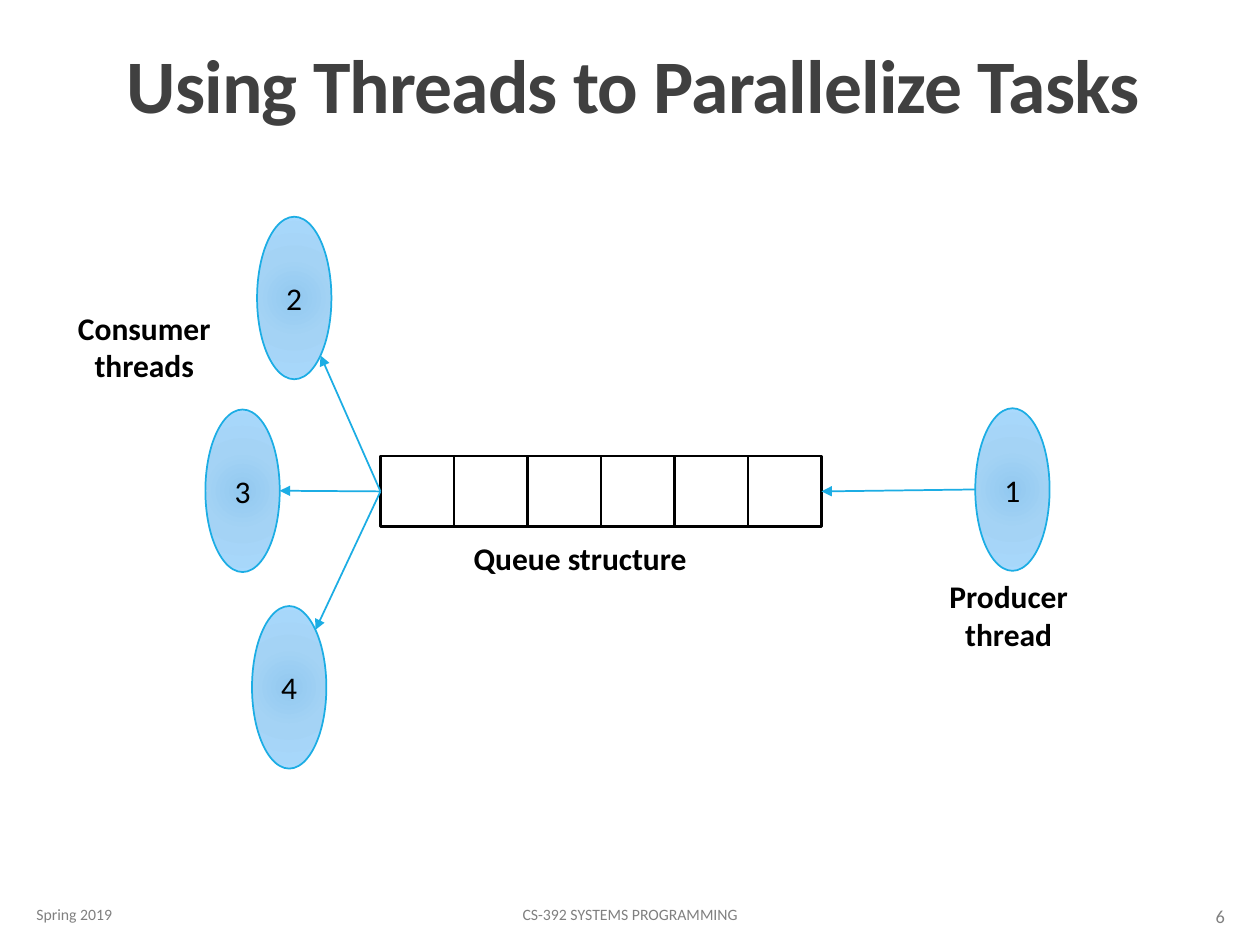
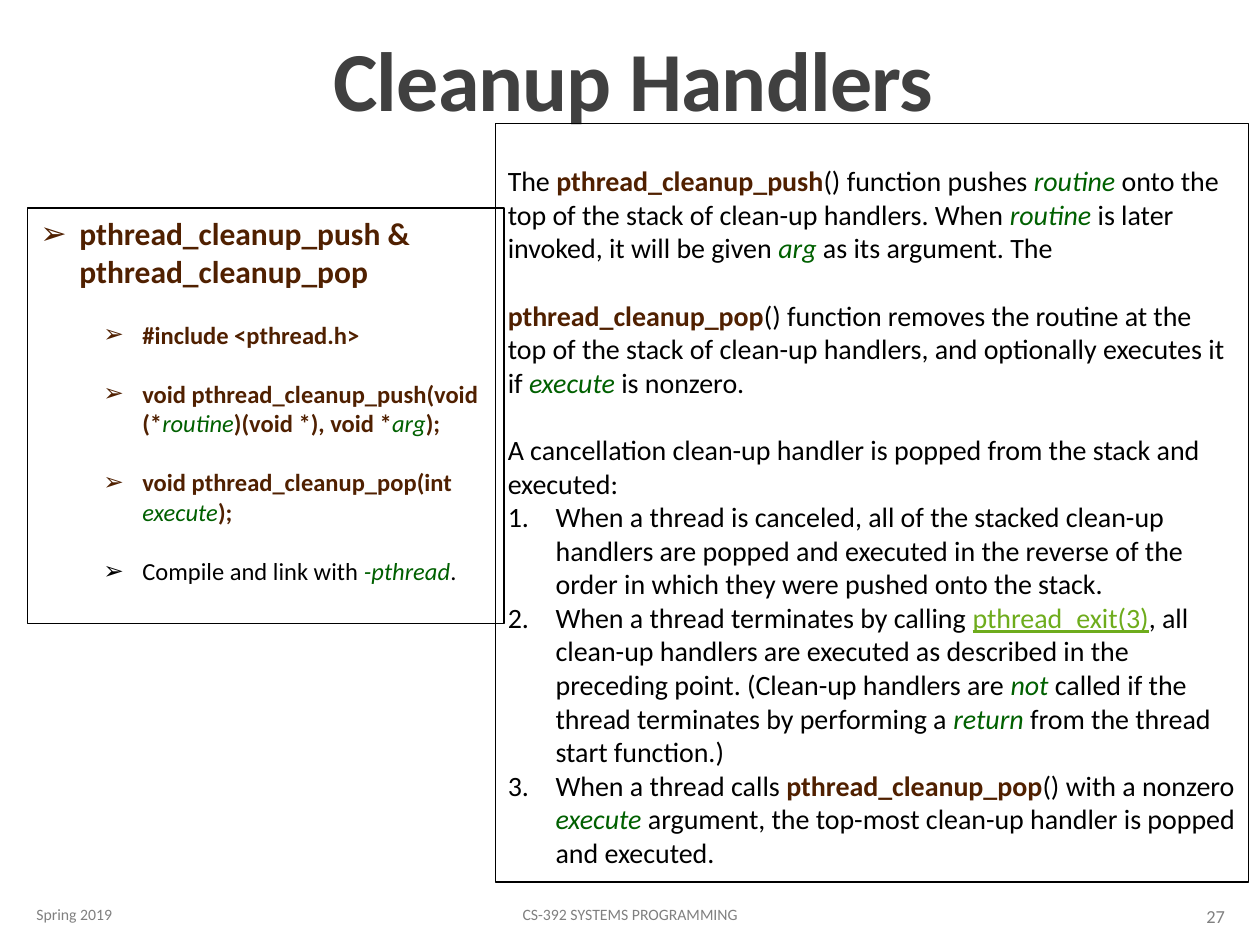
from math import cos, radians, sin

from lxml.etree import SubElement
from pptx import Presentation
from pptx.dml.color import RGBColor
from pptx.enum.shapes import MSO_CONNECTOR, MSO_SHAPE
from pptx.enum.text import MSO_ANCHOR, MSO_AUTO_SIZE, PP_ALIGN
from pptx.oxml.ns import qn
from pptx.util import Inches, Pt

FONT = "Calibri"
BLACK, WHITE, GRAY, TITLE_GRAY = "000000", "FFFFFF", "808080", "404040"
BROWN, GREEN, LIME, BLUE = "502000", "006000", "6EAC1C", "1CADE4"
THREAD_STOPS = [(0, "92C9F0"), (45, "A4D3F5"), (100, "A9D9FD")]
TITLE_BOX = (0.9, 0.04, 8.25, 1.03)
FOOTER = "CS-392 SYSTEMS PROGRAMMING"
THREAD_SIZE = (0.59, 1.29)

PLAIN = {"color": BLACK}
BOLD = {"color": BLACK, "bold": True}
CODE = {"color": BROWN, "bold": True}
ARG = {"color": GREEN, "italic": True}
LINK = {"color": LIME, "underline": True}


def rgb(value):
    """Turn a hex string into a colour."""
    return RGBColor.from_string(value)


def inches(*lengths):
    """Turn numbers into lengths in inches."""
    return [Inches(length) for length in lengths]


def place(shape, box):
    """Move a placeholder to a box."""
    for side, length in zip(("left", "top", "width", "height"), inches(*box)):
        setattr(shape, side, length)


def add_run(paragraph, text, size, style):
    """Add one formatted run."""
    run = paragraph.add_run()
    run.text = text
    run.font.name, run.font.size = FONT, Pt(size)
    for key, value in style.items():
        if key == "color":
            run.font.color.rgb = rgb(value)
        else:
            setattr(run.font, key, value)
    return run


def set_frame(frame, anchor):
    """Give a text frame its wrapping and anchor."""
    frame.word_wrap = True
    frame.auto_size = MSO_AUTO_SIZE.NONE
    frame.vertical_anchor = anchor


def add_label(slide, box, text, size, style, align=PP_ALIGN.CENTER,
              anchor=MSO_ANCHOR.TOP):
    """Add a text box with one paragraph for each line of text."""
    frame = slide.shapes.add_textbox(*inches(*box)).text_frame
    set_frame(frame, anchor)
    for number, line in enumerate(text.split("\n")):
        paragraph = frame.add_paragraph() if number else frame.paragraphs[0]
        paragraph.alignment = align
        add_run(paragraph, line, size, style)


def add_frame(slide, title, title_size, page):
    """Fill the title and the three footer texts."""
    heading = slide.shapes.title
    place(heading, TITLE_BOX)
    set_frame(heading.text_frame, MSO_ANCHOR.BOTTOM)
    paragraph = heading.text_frame.paragraphs[0]
    paragraph.alignment, paragraph.line_spacing = PP_ALIGN.CENTER, 0.85
    run = add_run(paragraph, title, title_size,
                  {"color": TITLE_GRAY, "bold": True})
    run.font._element.set("spc", "-50")
    for box, text, size, align in [
        ((0.19, 7.06, 2.03, 0.4), "Spring 2019", 9, PP_ALIGN.LEFT),
        ((3.02, 7.06, 3.96, 0.4), FOOTER, 9, PP_ALIGN.CENTER),
        ((8.74, 7.07, 1.08, 0.4), page, 10.5, PP_ALIGN.RIGHT),
    ]:
        add_label(slide, box, text, size, {"color": GRAY}, align,
                  MSO_ANCHOR.MIDDLE)


def add_thread(slide, left, top, number):
    """Draw a thread as a numbered ellipse with a radial gradient."""
    thread = slide.shapes.add_shape(
        MSO_SHAPE.OVAL, *inches(left, top, *THREAD_SIZE))
    thread.shadow.inherit = False
    thread.line.color.rgb, thread.line.width = rgb(BLUE), Pt(1)
    thread.fill.gradient()
    gradient = thread._element.spPr.find(qn("a:gradFill"))
    for child in list(gradient):
        gradient.remove(child)
    stops = SubElement(gradient, qn("a:gsLst"))
    for position, color in THREAD_STOPS:
        stop = SubElement(stops, qn("a:gs"), pos=str(position * 1000))
        SubElement(stop, qn("a:srgbClr"), val=color)
    circle = SubElement(gradient, qn("a:path"))
    circle.set("path", "circle")
    SubElement(circle, qn("a:fillToRect"), dict.fromkeys("ltrb", "50000"))
    frame = thread.text_frame
    set_frame(frame, MSO_ANCHOR.MIDDLE)
    frame.paragraphs[0].alignment = PP_ALIGN.CENTER
    add_run(frame.paragraphs[0], number, 18, PLAIN)


def rim_point(left, top, angle):
    """Return the point on a thread's rim, with angles clockwise from right."""
    width, height = THREAD_SIZE
    return (left + width / 2 * (1 + cos(radians(angle))),
            top + height / 2 * (1 + sin(radians(angle))))


def add_arrow(slide, start, end):
    """Draw a straight arrow between two points."""
    arrow = slide.shapes.add_connector(
        MSO_CONNECTOR.STRAIGHT, *inches(*start, *end))
    arrow.line.color.rgb, arrow.line.width = rgb(BLUE), Pt(1)
    SubElement(arrow.line._get_or_add_ln(), qn("a:tailEnd"), type="triangle")
    SubElement(arrow._element.spPr, qn("a:effectLst"))


def add_queue(slide, box, count):
    """Draw a row of equal, grouped queue cells filling the box."""
    left, top, width, height = box
    step = width / count
    queue = slide.shapes.add_group_shape()
    for index in range(count):
        cell = queue.shapes.add_shape(
            MSO_SHAPE.RECTANGLE,
            *inches(left + index * step, top, step, height))
        cell.shadow.inherit = False
        cell.fill.solid()
        cell.fill.fore_color.rgb = rgb(WHITE)
        cell.line.color.rgb, cell.line.width = rgb(BLACK), Pt(1.25)


def add_thread_diagram(slide, queue_box):
    """Draw the producer, the queue and its consumers."""
    left, top, width, height = queue_box
    middle = top + height / 2
    consumers = [("2", 2.04, 1.72, 45), ("3", 1.63, 3.25, 0),
                 ("4", 2, 4.81, -45)]
    producer = (7.74, 3.24)
    add_queue(slide, queue_box, 6)
    add_thread(slide, *producer, "1")
    add_arrow(slide, rim_point(*producer, 180), (left + width, middle))
    for number, x, y, angle in consumers:
        add_thread(slide, x, y, number)
        add_arrow(slide, (left, middle), rim_point(x, y, angle))
    add_label(slide, (0.19, 2.4, 1.91, 0.71), "Consumer threads", 18, BOLD)
    add_label(slide, (3.65, 4.23, 1.91, 0.4), "Queue structure", 18, BOLD)
    add_label(slide, (7.05, 4.53, 1.91, 0.71), "Producer\nthread", 18, BOLD)


def set_bullet(paragraph, kind, margin, hang):
    """Give a paragraph an arrow bullet, a number or neither."""
    properties = paragraph._p.get_or_add_pPr()
    properties.set("marL", str(Inches(margin)))
    properties.set("indent", str(-Inches(hang)))
    if kind == "arrow":
        SubElement(properties, qn("a:buFont"), typeface="Arial")
        SubElement(properties, qn("a:buChar"), char="\u27a2")
    elif kind == "number":
        SubElement(properties, qn("a:buFont"), typeface="+mj-lt")
        SubElement(properties, qn("a:buAutoNum"), type="arabicPeriod")
    else:
        SubElement(properties, qn("a:buNone"))


def fill_panel(panel, box, paragraphs, top_margin=0.05):
    """Fill an outlined body placeholder.

    Each paragraph is (bullet, level, margin, hang, size, gap, runs).
    """
    place(panel, box)
    panel.line.color.rgb, panel.line.width = rgb(BLACK), Pt(0.75)
    frame = panel.text_frame
    set_frame(frame, MSO_ANCHOR.TOP)
    frame.margin_top = Inches(top_margin)
    for number, (kind, level, margin, hang, size, gap, runs) in enumerate(
            paragraphs):
        paragraph = frame.add_paragraph() if number else frame.paragraphs[0]
        for key, value in {"level": level, "alignment": PP_ALIGN.LEFT,
                           "space_before": Pt(gap),
                           "space_after": Pt(0)}.items():
            setattr(paragraph, key, value)
        set_bullet(paragraph, kind, margin, hang)
        for text, style in runs:
            add_run(paragraph, text, size, style)


def fill_synopsis(panel, box):
    """List the function signatures."""
    signatures = [
        [("#include <pthread.h>", CODE)],
        [("void pthread_cleanup_push(void (*", CODE), ("routine", ARG),
         (")(void *), void *", CODE), ("arg", ARG), (");", CODE)],
        [("void pthread_cleanup_pop(int ", CODE), ("execute", ARG),
         (");", CODE)],
        [("Compile and link with ", PLAIN), ("-pthread", ARG), (".", PLAIN)],
    ]
    heading = [("pthread_cleanup_push & pthread_cleanup_pop", CODE)]
    fill_panel(panel, box, [("arrow", 0, 0.31, 0.31, 18, 0, heading)] + [
        ("arrow", 1, 0.81, 0.31, 14, 17, runs) for runs in signatures])


def fill_description(panel, box):
    """Explain the functions and number the cases of execution."""
    explanations = [
        [("The ", PLAIN), ("pthread_cleanup_push", CODE),
         ("() function pushes ", PLAIN), ("routine", ARG),
         (" onto the top of the stack of clean-up handlers. When ", PLAIN),
         ("routine", ARG), (" is later invoked, it will be given ", PLAIN),
         ("arg", ARG), (" as its argument. The", PLAIN)],
        [("pthread_cleanup_pop", CODE),
         ("() function removes the routine at the top of the stack of "
          "clean-up handlers, and optionally executes it if ", PLAIN),
         ("execute", ARG), (" is nonzero.", PLAIN)],
        [("A cancellation clean-up handler is popped from the stack and "
          "executed:", PLAIN)],
    ]
    cases = [
        [("When a thread is canceled, all of the stacked clean-up handlers "
          "are popped and executed in the reverse of the order in which they "
          "were pushed onto the stack.", PLAIN)],
        [("When a thread terminates by calling ", PLAIN),
         ("pthread_exit(3)", LINK),
         (", all clean-up handlers are executed as described in the preceding "
          "point. (Clean-up handlers are ", PLAIN), ("not", ARG),
         (" called if the thread terminates by performing a ", PLAIN),
         ("return", ARG), (" from the thread start function.)", PLAIN)],
        [("When a thread calls ", PLAIN), ("pthread_cleanup_pop", CODE),
         ("() with a nonzero ", PLAIN), ("execute", ARG),
         (" argument, the top-most clean-up handler is popped and executed.",
          PLAIN)],
    ]
    fill_panel(panel, box, [
        (None, 0, 0, 0, 16, 19.2 if number else 0, runs)
        for number, runs in enumerate(explanations)
    ] + [("number", 0, 0.38, 0.38, 16, 0, runs) for runs in cases],
        top_margin=0.32)


deck = Presentation()
deck.slide_width, deck.slide_height = inches(10, 7.5)
title_only, two_content = deck.slide_layouts[5], deck.slide_layouts[3]

parallel = deck.slides.add_slide(title_only)
add_frame(parallel, "Using Threads to Parallelize Tasks", 43.2, "6")
add_thread_diagram(parallel, (3.02, 3.62, 3.5, 0.56))

cleanup = deck.slides.add_slide(two_content)
add_frame(cleanup, "Cleanup Handlers", 48, "27")
fill_synopsis(cleanup.placeholders[1], (0.22, 1.65, 3.78, 3.3))
fill_description(cleanup.placeholders[2], (3.93, 0.98, 5.98, 6.02))

deck.save("out.pptx")
